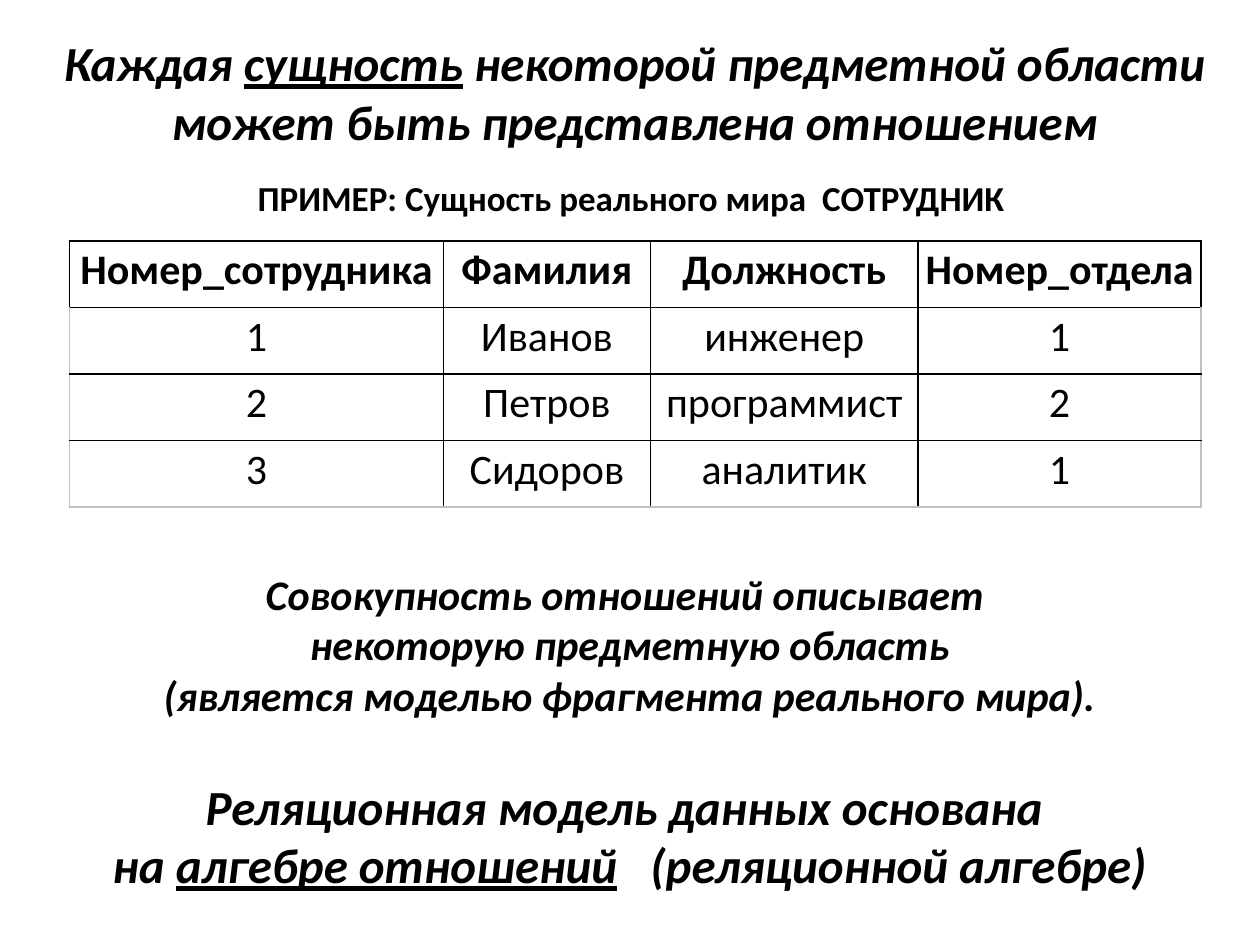
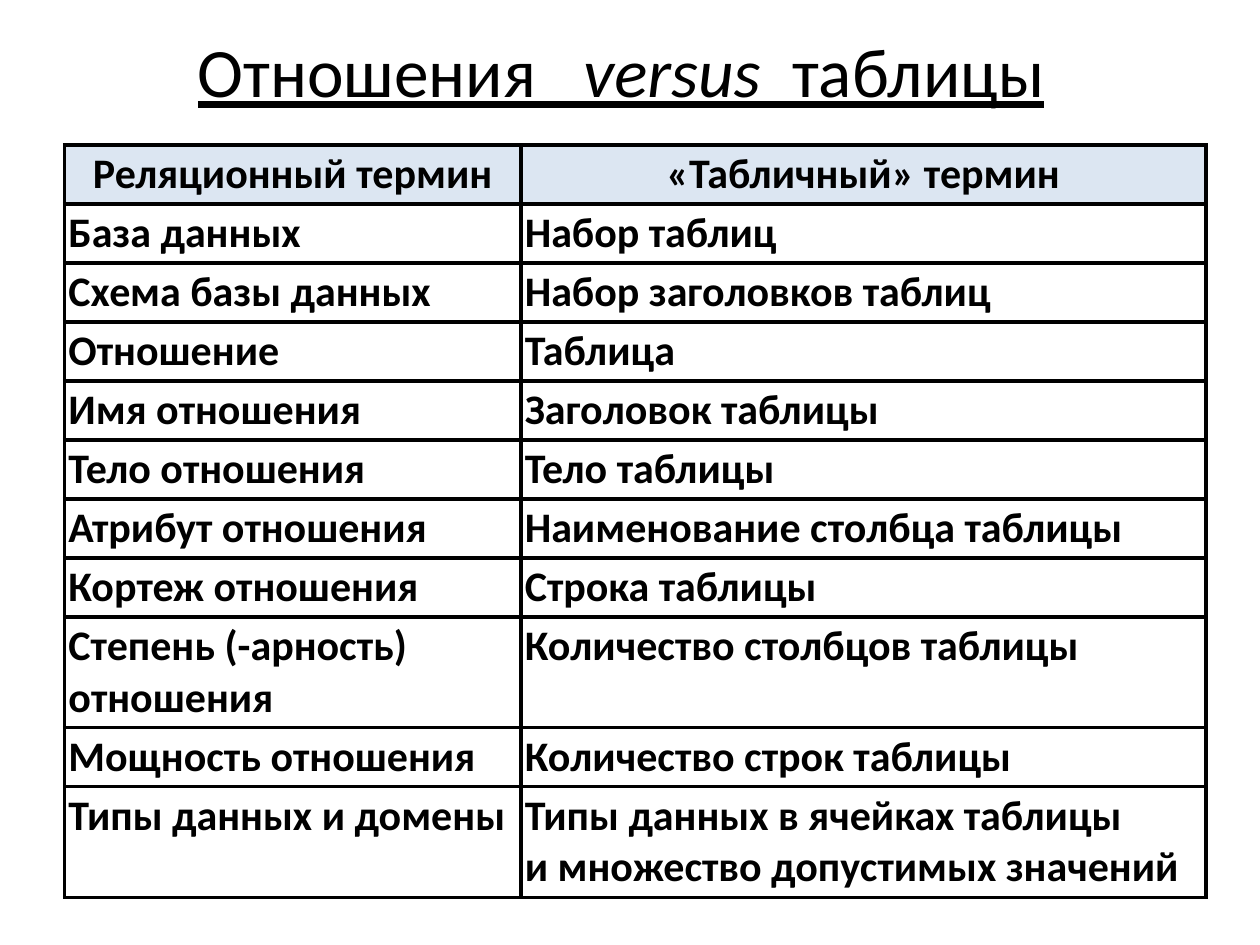
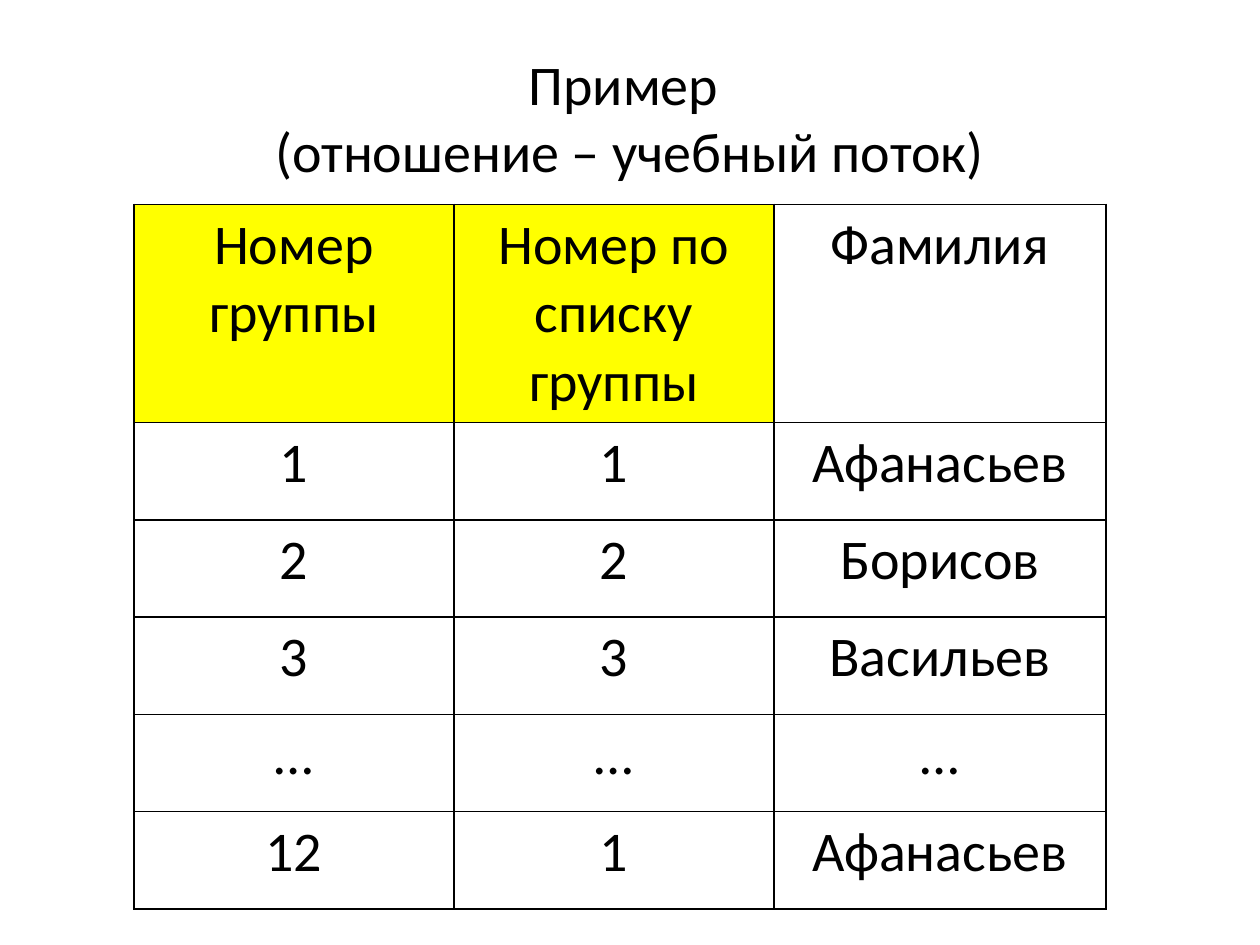
from lxml import etree
from pptx import Presentation
from pptx.dml.color import RGBColor
from pptx.enum import text
from pptx.oxml.ns import qn
from pptx.util import Cm, Pt

FONT = "Calibri"
INK, RIM, YELLOW, PALE_BLUE = "000000", "C0C0C0", "FFFF00", "DCE6F2"
CENTER, LEFT = text.PP_ALIGN.CENTER, text.PP_ALIGN.LEFT
TOP, MIDDLE = text.MSO_ANCHOR.TOP, text.MSO_ANCHOR.MIDDLE
UNDERLINED = {"underline": True}
STRONG = {"bold": True, "italic": True}


def write(p, runs, align, size, fmt):
    """Fill a paragraph with (text, format) runs; a newline is a line break."""
    p.alignment = align
    for content, extra in runs:
        for i, line in enumerate(content.split("\n")):
            if i:
                p.add_line_break()
            r = p.add_run()
            r.text = line
            r.font.color.rgb = RGBColor.from_string(INK)
            for name, value in {"name": FONT, "size": Pt(size), **fmt, **extra}.items():
                setattr(r.font, name, value)


def add_border(cell, tag, colour, width):
    """Draw one side of a cell, or hide it when colour is None."""
    ln = etree.SubElement(cell._tc.get_or_add_tcPr(), qn(f"a:{tag}"), w=str(Pt(width)))
    if colour is None:
        etree.SubElement(ln, qn("a:noFill"))
    else:
        fill = etree.SubElement(ln, qn("a:solidFill"))
        etree.SubElement(fill, qn("a:srgbClr"), val=colour)


prs = Presentation()
prs.slide_width, prs.slide_height = Cm(25.4), Cm(19.05)
entity, terms, example = [prs.slides.add_slide(prs.slide_layouts[6]) for _ in range(3)]

# slide, (left, top, width, height), anchor, size, format, runs
texts = [
    (entity, (0.79, 0.53, 24, 2.64), TOP, 28, STRONG, [
        ("Каждая ", {}), ("сущность", UNDERLINED),
        (" некоторой предметной области может быть представлена отношением", {})]),
    (entity, (0.79, 11.33, 24, 3.33), TOP, 24, STRONG, [
        ("Совокупность отношений описывает  \nнекоторую предметную область \n"
         "(является моделью фрагмента реального мира). ", {})]),
    (entity, (0.79, 15.52, 23.8, 2.64), TOP, 28, STRONG, [
        ("Реляционная модель данных основана \nна ", {}),
        ("алгебре отношений", UNDERLINED), ("   (реляционной алгебре)", {})]),
    (terms, (1.09, 0.53, 22.86, 1.75), MIDDLE, 39.6, UNDERLINED, [
        ("Отношения   ", {}), ("versus  ", {"italic": True}), ("таблицы", {})]),
    (example, (1.27, 0.76, 22.86, 3.18), MIDDLE, 32, {}, [
        ("Пример \n(отношение – учебный поток)", {})]),
]
for s, box, anchor, size, fmt, runs in texts:
    tf = s.shapes.add_textbox(*map(Cm, box)).text_frame
    tf.word_wrap = True
    tf.vertical_anchor = anchor
    write(tf.paragraphs[0], runs, CENTER, size, fmt)

employees = [
    ["ПРИМЕР: Сущность реального мира  СОТРУДНИК ", "", "", ""],
    ["Номер_сотрудника", "Фамилия", "Должность", "Номер_отдела"],
    ["1", "Иванов", "инженер", "1"],
    ["2", "Петров", "программист", "2"],
    ["3", "Сидоров", "аналитик", "1"],
]
glossary = [
    ["Реляционный термин", "«Табличный» термин"],
    ["База данных", "Набор таблиц"],
    ["Схема базы данных", "Набор заголовков таблиц"],
    ["Отношение", "Таблица"],
    ["Имя отношения", "Заголовок таблицы"],
    ["Тело отношения", "Тело таблицы"],
    ["Атрибут отношения", "Наименование столбца таблицы"],
    ["Кортеж отношения", "Строка таблицы"],
    ["Степень (-арность) отношения", "Количество столбцов таблицы"],
    ["Мощность отношения", "Количество строк таблицы"],
    ["Типы данных и домены",
     "Типы данных в ячейках таблицы \nи множество допустимых значений"],
]
students = [
    ["Номер группы", "Номер по списку\nгруппы", "Фамилия"],
    ["1", "1", "Афанасьев"],
    ["2", "2", "Борисов"],
    ["3", "3", "Васильев"],
    ["…", "…", "…"],
    ["12", "1", "Афанасьев"],
]

# slide, rows, left, top, column widths, row heights, inset (sides, top and bottom),
# size, bold rows, body alignment, border width, header fills, has a caption row
tables = [
    (entity, employees, 1.4, 3.52, [7.54, 4.17, 5.4, 5.7], [1.34] * 5, (0.08, 0.08),
     24, 2, CENTER, 1, [], True),
    (terms, glossary, 1.3, 2.92, [9.2, 13.81], [1.19] * 8 + [2.23, 1.19, 2.23], (0.08, 0.08),
     24, 11, LEFT, 2.25, [PALE_BLUE, PALE_BLUE], False),
    (example, students, 2.7, 4.12, [6.45, 6.45, 6.7], [4.4] + [1.96] * 5, (0.25, 0.13),
     32, 0, CENTER, 1, [YELLOW, YELLOW], False),
]
for (s, rows, left, top, widths, heights, (side, edge), size, bold_rows, body_align,
     line, fills, captioned) in tables:
    table = s.shapes.add_table(len(rows), len(widths), Cm(left), Cm(top),
                               Cm(sum(widths)), Cm(sum(heights))).table
    table.horz_banding = False
    for column, width in zip(table.columns, widths):
        column.width = Cm(width)
    for row, height in zip(table.rows, heights):
        row.height = Cm(height)
    if captioned:
        table.cell(0, 0).merge(table.cell(0, len(widths) - 1))

    for i, row in enumerate(rows):
        is_caption = captioned and i == 0
        for j, content in enumerate(row):
            cell = table.cell(i, j)
            cell.margin_left = cell.margin_right = Cm(side)
            cell.margin_top = cell.margin_bottom = Cm(edge)
            outer = {"lnL": j == 0, "lnR": j == len(row) - 1,
                     "lnT": i == 0, "lnB": i == len(rows) - 1}
            for tag, is_outer in outer.items():
                colour = RIM if captioned and i > 1 and is_outer else INK
                if is_caption and tag != "lnB":
                    colour = None
                add_border(cell, tag, colour, line)
            if i == 0 and j < len(fills):
                cell.fill.solid()
                cell.fill.fore_color.rgb = RGBColor.from_string(fills[j])
            else:
                cell.fill.background()
            if content:
                write(cell.text_frame.paragraphs[0], [(content, {})],
                      CENTER if i == 0 else body_align,
                      20 if is_caption else size, {"bold": i < bold_rows})

prs.save("out.pptx")
